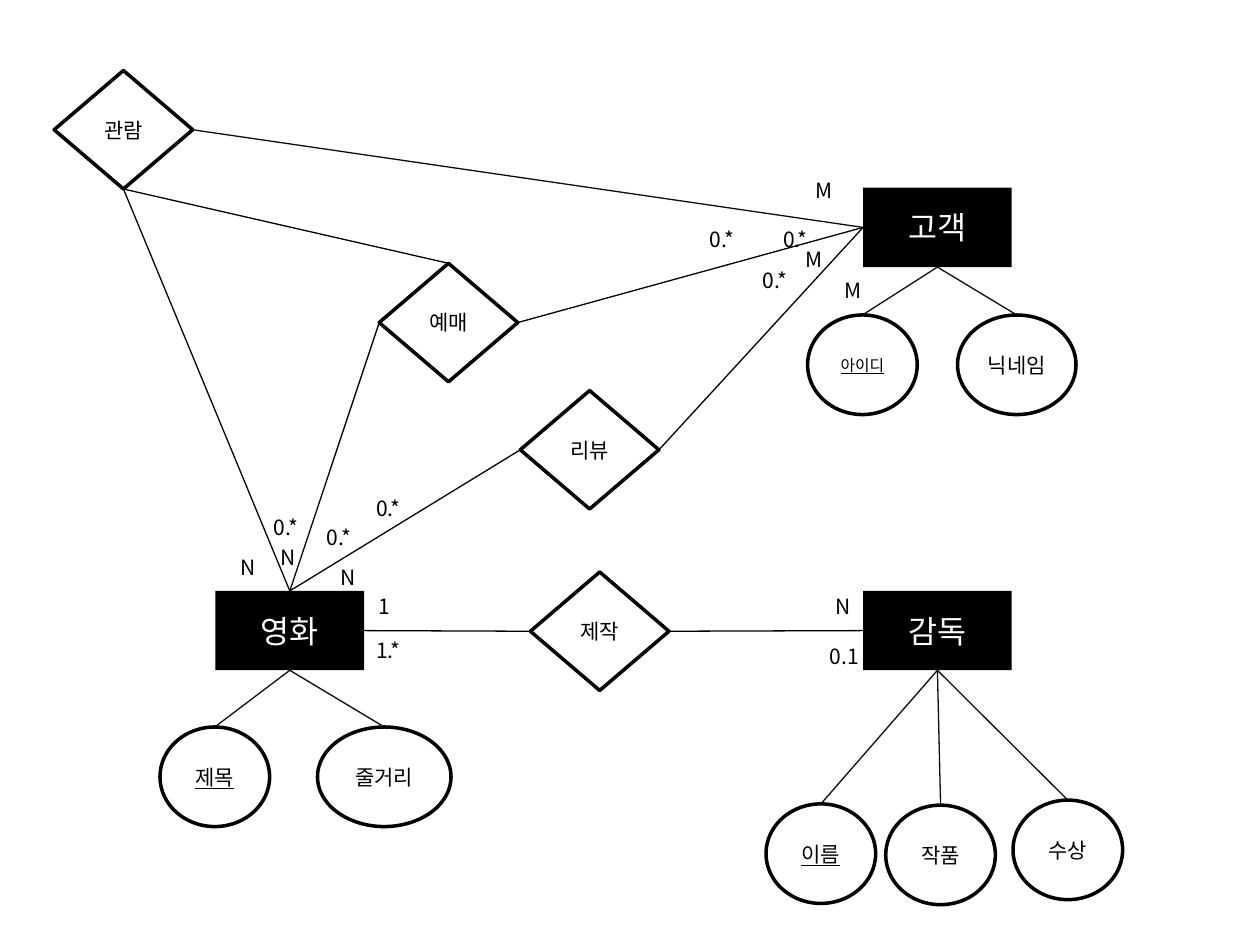
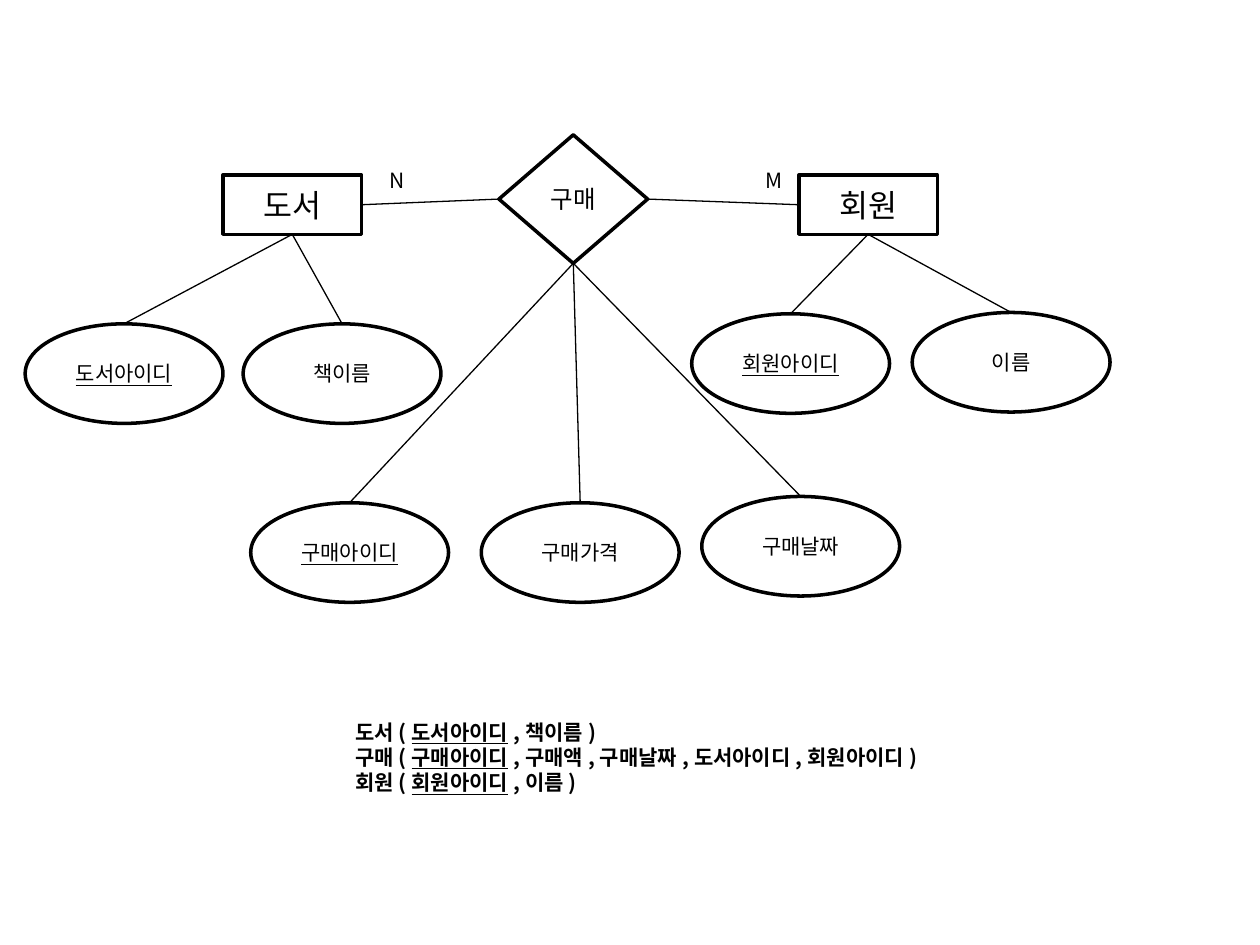
from lxml import etree
from pptx import Presentation
from pptx.dml.color import RGBColor
from pptx.enum.shapes import MSO_CONNECTOR, MSO_SHAPE
from pptx.enum.text import MSO_ANCHOR, PP_ALIGN
from pptx.oxml.ns import qn
from pptx.util import Inches, Pt

RECT, OVAL, RHOMB = MSO_SHAPE.RECTANGLE, MSO_SHAPE.OVAL, MSO_SHAPE.DIAMOND
STRAIGHT = MSO_CONNECTOR.STRAIGHT
MIDDLE = MSO_ANCHOR.MIDDLE
LEFT, CENTER = PP_ALIGN.LEFT, PP_ALIGN.CENTER
TOP, WEST, FOOT, EAST = range(4)  # connection sites of a shape

FONT = "Noto Sans CJK KR"
BLACK, WHITE, SOFT = "000000", "FFFFFF", "0D0D0D"
EDGE, THIN = 2, 0.75
KEY = {"underline": True}


def color(code):
    """Turn a hex string into a colour."""
    return RGBColor.from_string(code)


def style(run, ink=BLACK, **form):
    """Set the font of a run from format values."""
    form = {"name": FONT, "size": 12, **form}
    form["size"] = Pt(form["size"])
    for name, value in form.items():
        setattr(run.font, name, value)
    run.font.color.rgb = color(ink)
    props = run.font._element
    etree.SubElement(props, qn("a:ea")).set("typeface", FONT)


def frame(shape, pad=0):
    """Prepare the text frame of a shape and return it."""
    text = shape.text_frame
    form = {"word_wrap": True, "vertical_anchor": MIDDLE,
            "margin_top": 0, "margin_bottom": 0,
            "margin_left": Inches(pad), "margin_right": Inches(pad)}
    for name, value in form.items():
        setattr(text, name, value)
    return text


def write(shape, words, **form):
    """Put one centred line of text into a shape."""
    para = frame(shape).paragraphs[0]
    para.alignment = CENTER
    run = para.add_run()
    run.text = words
    style(run, **form)


def node(slide, kind, words, box, solid=False, **form):
    """Draw a named shape, either outlined or solid black."""
    shape = slide.shapes.add_shape(kind, *map(Inches, box))
    shape.shadow.inherit = False
    if solid:
        shape.fill.solid()
        shape.fill.fore_color.rgb = color(BLACK)
        shape.line.fill.background()
    else:
        shape.fill.background()
        shape.line.color.rgb = color(BLACK)
        shape.line.width = Pt(EDGE)
    write(shape, words, ink=WHITE if solid else BLACK, **form)
    return shape


def link(slide, start, out, end, into, ink=BLACK):
    """Join two shapes at the given sites with a thin line."""
    line = slide.shapes.add_connector(STRAIGHT, 0, 0, 0, 0)
    line.begin_connect(start, out)
    line.end_connect(end, into)
    line.line.color.rgb = color(ink)
    line.line.width = Pt(THIN)
    etree.SubElement(line._element.spPr, qn("a:effectLst"))


def label(slide, words, left, top):
    """Write a count beside a line; ranges get a wider box."""
    wide = 0.24 if len(words) == 1 else 0.68
    box = map(Inches, (left, top, wide, 0.24))
    write(slide.shapes.add_textbox(*box), words)


def traits(slide, owner, items, high=0.79, ink=BLACK):
    """Draw the attribute ovals of a shape and join them to its foot."""
    for words, left, top, wide, form in items:
        oval = node(slide, OVAL, words, (left, top, wide, high), **form)
        link(slide, owner, FOOT, oval, TOP, ink)


def schema(slide, rows, box):
    """List each relation with its key underlined."""
    text = frame(slide.shapes.add_textbox(*map(Inches, box)), 0.1)
    for i, (name, key, rest) in enumerate(rows):
        para = text.add_paragraph() if i else text.paragraphs[0]
        para.alignment = LEFT
        for words, under in ((name + "(", False), (key, True),
                             ("," + rest + ")", False)):
            run = para.add_run()
            run.text = words
            style(run, bold=True, underline=under)


def cinema(slide):
    """Draw the film, director and customer diagram."""
    film, maker, guest = [
        node(slide, RECT, words, (left, top, 1.18, 0.63), True, size=18)
        for words, left, top in (("영화", 1.71, 4.69), ("감독", 6.85, 4.69),
                                 ("고객", 6.85, 1.49))]
    make, book, watch, review = [
        node(slide, RHOMB, words, (left, top, 1.1, 0.94))
        for words, left, top in (("제작", 4.21, 4.54), ("예매", 3.01, 2.09),
                                 ("관람", 0.43, 0.56), ("리뷰", 4.13, 3.1))]
    wide = 0.87
    traits(slide, film, [("제목", 1.27, 5.77, wide, KEY),
                         ("줄거리", 2.52, 5.77, 1.06, {})], ink=SOFT)
    traits(slide, maker, [("이름", 6.08, 6.38, wide, KEY),
                          ("작품", 7.03, 6.39, wide, {}),
                          ("수상", 8.04, 6.35, wide, {})], ink=SOFT)
    traits(slide, guest, [("아이디", 6.41, 2.5, wide, {**KEY, "size": 9}),
                          ("닉네임", 7.6, 2.5, 0.94, {})], ink=SOFT)
    link(slide, watch, EAST, guest, WEST, SOFT)
    for ends in ((watch, FOOT, book, TOP), (watch, FOOT, film, TOP),
                 (book, WEST, film, TOP), (book, EAST, guest, WEST),
                 (review, WEST, film, TOP), (review, EAST, guest, WEST),
                 (film, EAST, make, WEST), (make, EAST, maker, WEST)):
        link(slide, *ends)
    marks = {
        "1": [(2.93, 4.69)],
        "N": [(6.57, 4.69), (2.17, 4.3), (1.85, 4.38), (2.64, 4.46)],
        "M": [(6.34, 1.94), (6.42, 1.39), (6.65, 2.18)],
        "0.1": [(6.36, 5.09)],
        "1.*": [(2.74, 5.04)],
        "0.*": [(5.39, 1.78), (2.35, 4.14), (1.93, 4.06), (5.97, 1.78),
                (2.74, 3.91), (5.81, 2.1)],
    }
    for words, spots in marks.items():
        for spot in spots:
            label(slide, words, *spot)


def shop(slide):
    """Draw the book, purchase and member diagram with its schema."""
    book, member = [
        node(slide, RECT, words, (left, 1.39, 1.1, 0.47), size=18)
        for words, left in (("도서", 1.77), ("회원", 6.34))]
    buy = node(slide, RHOMB, "구매", (3.96, 1.07, 1.18, 1.02), size=14)
    link(slide, book, EAST, buy, WEST)
    link(slide, buy, EAST, member, WEST)
    label(slide, "N", 3.03, 1.31)
    label(slide, "M", 6.02, 1.31)
    wide = 1.57
    traits(slide, book, [("도서아이디", 0.2, 2.57, wide, KEY),
                         ("책이름", 1.93, 2.57, wide, {})])
    traits(slide, buy, [("구매아이디", 1.99, 3.99, wide, KEY),
                        ("구매가격", 3.82, 3.99, wide, {}),
                        ("구매날짜", 5.57, 3.94, wide, {})])
    traits(slide, member, [("회원아이디", 5.49, 2.49, wide, KEY),
                           ("이름", 7.24, 2.48, wide, {})])
    schema(slide, [("도서", "도서아이디", "책이름"),
                   ("구매", "구매아이디", "구매액,구매날짜,도서아이디,회원아이디"),
                   ("회원", "회원아이디", "이름")], (2.72, 5.2, 5.67, 1.62))


def main():
    """Build both diagrams and save them."""
    deck = Presentation()
    deck.slide_width, deck.slide_height = Inches(10), Inches(7.5)
    for draw in (cinema, shop):
        draw(deck.slides.add_slide(deck.slide_layouts[6]))
    deck.save("out.pptx")


main()
